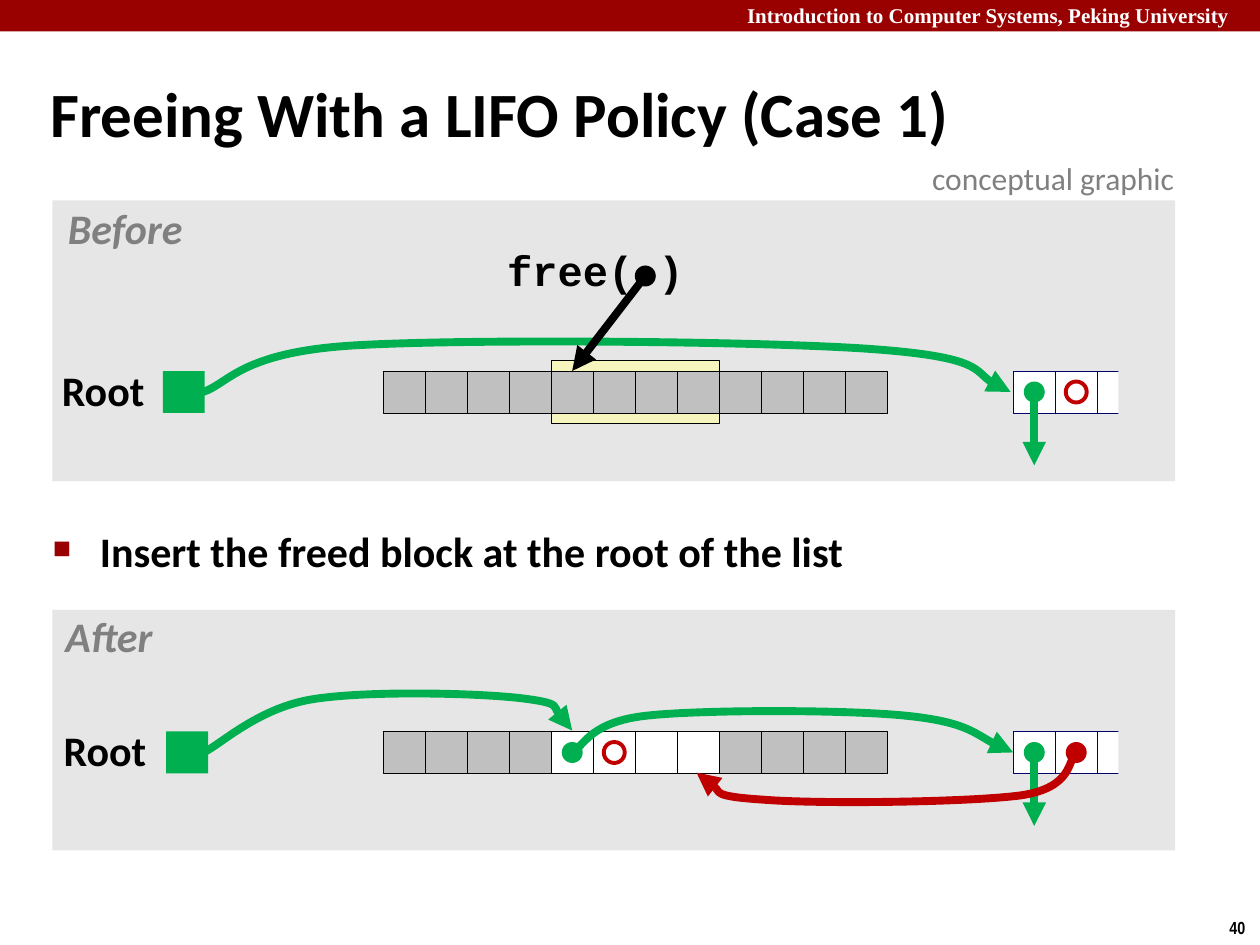
from dataclasses import dataclass
from typing import Optional

from pptx import Presentation
from pptx.dml.color import RGBColor
from pptx.enum.shapes import MSO_CONNECTOR, MSO_SHAPE
from pptx.enum.text import MSO_ANCHOR, PP_ALIGN
from pptx.oxml.ns import qn
from pptx.util import Pt

RECTANGLE = MSO_SHAPE.RECTANGLE
OVAL = MSO_SHAPE.OVAL
STRAIGHT = MSO_CONNECTOR.STRAIGHT
LEFT, CENTER = PP_ALIGN.LEFT, PP_ALIGN.CENTER
TOP, MIDDLE = MSO_ANCHOR.TOP, MSO_ANCHOR.MIDDLE

COLORS = {
    "banner": "990000", "panel": "E6E6E6", "block": "F6F5BD", "used": "C0C0C0",
    "white": "FFFFFF", "black": "000000", "navy": "000066", "green": "00B050",
    "red": "C00000", "gray": "808080",
}

CELL = 24
DOT = 12
HEAP_LEFT, HEAP_CELLS = 219, 12
FREED = range(4, 8)
FREED_LEFT = HEAP_LEFT + FREED.start * CELL
LIST_LEFT = 579
BEFORE_TOP, AFTER_TOP = 212, 418


@dataclass
class Label:
    text: str
    left: float
    top: float
    width: float
    height: float
    size: float = 24
    font: str = "Calibri"
    color: str = "black"
    bold: bool = True
    italic: bool = False
    align: PP_ALIGN = CENTER
    anchor: MSO_ANCHOR = TOP
    spacing: float = 0.9
    inset: tuple[float, float] = (3.6, 3.6)
    wrap: bool = False
    bullet: bool = False


@dataclass
class Curve:
    """A start point, then three points for each cubic segment."""
    color: str
    points: list[tuple[float, float]]


WIDE_INSET = (7.2, 3.6)
LABELS = [
    Label("Introduction to Computer Systems, Peking University", 419.8, -2, 305, 21.6, 12,
          "Times New Roman", "white", align=LEFT, spacing=1, inset=WIDE_INSET, wrap=True),
    Label("40", 695.5, 520.5, 24.5, 19.4, 10, "Arial Narrow", align=LEFT, spacing=1,
          inset=WIDE_INSET),
    Label("Freeing With a LIFO Policy (Case 1)", 21.6, 36, 686, 62, 36, align=LEFT,
          anchor=MIDDLE, spacing=0.87, inset=WIDE_INSET, wrap=True),
    Label("Insert the freed block at the root of the list", 23, 299, 654.5, 44, align=LEFT,
          spacing=0.95, inset=WIDE_INSET, wrap=True, bullet=True),
    Label("Root", 31.5, 208, 55, 34),
    Label("Root", 32.5, 413.5, 55, 34),
    Label("Before", 34.5, 115.2, 74, 34, color="gray", italic=True),
    Label("After", 33, 348.5, 58.5, 34, color="gray", italic=True),
    Label("conceptual graphic", 525.6, 87.2, 156, 29, 18, color="gray", bold=False,
          align=LEFT, spacing=1, inset=WIDE_INSET),
]
FREE_CALL = Label("free( )", 286, 139.7, 108.5, 34, font="Courier New")

OLD_ROOT_LINK = Curve("green", [
    (116, 224), (130.5, 219.5), (137, 201.5), (201, 197.5), (264.5, 193.5), (435.5, 195),
    (498, 199.5), (561, 204), (561, 219), (577.5, 224)])
AFTER_LINKS = [
    Curve("green", [
        (327, 430), (334, 426), (337.5, 412.5), (369.5, 409), (401, 405.5), (483, 405.5),
        (517.5, 409), (552, 412.5), (566, 425.5), (579, 430)]),
    Curve("red", [
        (615, 430.5), (610, 434), (613.5, 450), (583.5, 454.5), (553.5, 458.5),
        (467.5, 459.5), (436.5, 457), (405.5, 455), (406, 445), (398, 441.5)]),
    Curve("green", [
        (116.5, 430), (126.5, 425), (147, 405.5), (176.5, 400), (206.5, 394.5), (272, 396),
        (297.5, 399), (322.5, 402), (321, 413.5), (327, 417.5)]),
]


def rgb(name: str) -> RGBColor:
    return RGBColor.from_string(COLORS[name])


def add_box(slide, left: float, top: float, width: float, height: float,
            fill: Optional[str], line: Optional[str] = None, weight: float = 0.25,
            kind: MSO_SHAPE = RECTANGLE) -> None:
    shape = slide.shapes.add_shape(kind, Pt(left), Pt(top), Pt(width), Pt(height))
    shape.shadow.inherit = False
    if fill:
        shape.fill.solid()
        shape.fill.fore_color.rgb = rgb(fill)
    else:
        shape.fill.background()
    if line:
        shape.line.color.rgb = rgb(line)
        shape.line.width = Pt(weight)
    else:
        shape.line.fill.background()


def add_dot(slide, x: float, y: float, color: str, hollow: bool = False) -> None:
    add_box(slide, x - DOT / 2, y - DOT / 2, DOT, DOT, None if hollow else color,
            color if hollow else None, 2.25, OVAL)


def style_arrow(shape, color: str) -> None:
    shape.line.color.rgb = rgb(color)
    shape.line.width = Pt(4.5)
    line = shape.line._get_or_add_ln()
    line.append(line.makeelement(qn("a:tailEnd"), {"type": "triangle"}))


def add_arrow(slide, start: tuple[float, float], end: tuple[float, float], color: str) -> None:
    connector = slide.shapes.add_connector(STRAIGHT, *map(Pt, start + end))
    style_arrow(connector, color)
    properties = connector._element.spPr
    properties.append(properties.makeelement(qn("a:effectLst"), {}))


def add_curve(slide, curve: Curve) -> None:
    """Build a freeform on the control points, then turn each three into a Bezier."""
    first, *rest = [(Pt(x), Pt(y)) for x, y in curve.points]
    builder = slide.shapes.build_freeform(*first)
    builder.add_line_segments(rest, close=False)
    shape = builder.convert_to_shape()
    shape.shadow.inherit = False
    shape.fill.background()
    style_arrow(shape, curve.color)
    segments = list(shape._element.iter(qn("a:lnTo")))
    for index in range(0, len(segments), 3):
        bezier = segments[index].makeelement(qn("a:cubicBezTo"), {})
        segments[index].addprevious(bezier)
        for segment in segments[index:index + 3]:
            bezier.append(segment[0])
            segment.getparent().remove(segment)


def add_bullet(paragraph) -> None:
    properties = paragraph._p.get_or_add_pPr()
    properties.set("marL", str(Pt(27)))
    properties.set("indent", str(Pt(-27)))
    color = properties.makeelement(qn("a:buClr"), {})
    color.append(color.makeelement(qn("a:srgbClr"), {"val": COLORS["banner"]}))
    properties.append(color)
    for tag, attributes in (("a:buSzPct", {"val": "60000"}), ("a:buChar", {"char": "■"})):
        properties.append(properties.makeelement(qn(tag), attributes))


def add_label(slide, label: Label) -> None:
    box = slide.shapes.add_textbox(Pt(label.left), Pt(label.top), Pt(label.width),
                                   Pt(label.height))
    frame = box.text_frame
    frame.word_wrap = label.wrap
    frame.vertical_anchor = label.anchor
    frame.margin_left = frame.margin_right = Pt(label.inset[0])
    frame.margin_top = frame.margin_bottom = Pt(label.inset[1])
    paragraph = frame.paragraphs[0]
    if label.bullet:
        add_bullet(paragraph)
    paragraph.alignment = label.align
    paragraph.line_spacing = label.spacing
    run = paragraph.add_run()
    run.text = label.text
    run.font.name = label.font
    run.font.size = Pt(label.size)
    run.font.bold = label.bold
    run.font.italic = label.italic
    run.font.color.rgb = rgb(label.color)


def add_memory(slide, top: float, root_left: float, freed_fill: str) -> None:
    """Draw the root, the heap cells and the cut-off next block of the free list."""
    add_box(slide, root_left, top, CELL, CELL, "green")
    for index in range(HEAP_CELLS):
        fill = freed_fill if index in FREED else "used"
        add_box(slide, HEAP_LEFT + index * CELL, top, CELL, CELL, fill, "black")
    for index in range(3):
        add_box(slide, LIST_LEFT + index * CELL, top, CELL, CELL, "white", "navy")
    add_box(slide, LIST_LEFT + 2.5 * CELL, top - 6, CELL, 36, "panel")
    x, y = LIST_LEFT + CELL / 2, top + CELL / 2
    add_dot(slide, x, y, "green")
    add_arrow(slide, (x, y), (x, y + 42), "green")


def main() -> None:
    presentation = Presentation()
    presentation.slide_width, presentation.slide_height = Pt(720), Pt(540)
    slide = presentation.slides.add_slide(presentation.slide_layouts[6])
    before_middle, after_middle = BEFORE_TOP + CELL / 2, AFTER_TOP + CELL / 2
    freed_middle = FREED_LEFT + CELL / 2
    previous_x = LIST_LEFT + 1.5 * CELL

    add_box(slide, 0, 0, 720, 18, "banner")
    add_box(slide, 30, 348.5, 641.5, 137.5, "panel")
    add_box(slide, 30, 114.5, 641.5, 160.5, "panel")
    for label in LABELS:
        add_label(slide, label)

    add_box(slide, FREED_LEFT, BEFORE_TOP - 6, len(FREED) * CELL, 36, "block", "black", 0.75)
    add_curve(slide, OLD_ROOT_LINK)
    add_memory(slide, BEFORE_TOP, 93, "used")
    add_dot(slide, previous_x, before_middle, "red", hollow=True)
    add_label(slide, FREE_CALL)
    add_dot(slide, 368.75, 157.75, "black")
    add_arrow(slide, (368.75, 157.75), (freed_middle, BEFORE_TOP), "black")

    add_memory(slide, AFTER_TOP, 95, "white")
    add_dot(slide, freed_middle, after_middle, "green")
    add_dot(slide, freed_middle + CELL, after_middle, "red", hollow=True)
    add_dot(slide, previous_x, after_middle, "red")
    for curve in AFTER_LINKS:
        add_curve(slide, curve)

    presentation.save("out.pptx")


if __name__ == "__main__":
    main()
